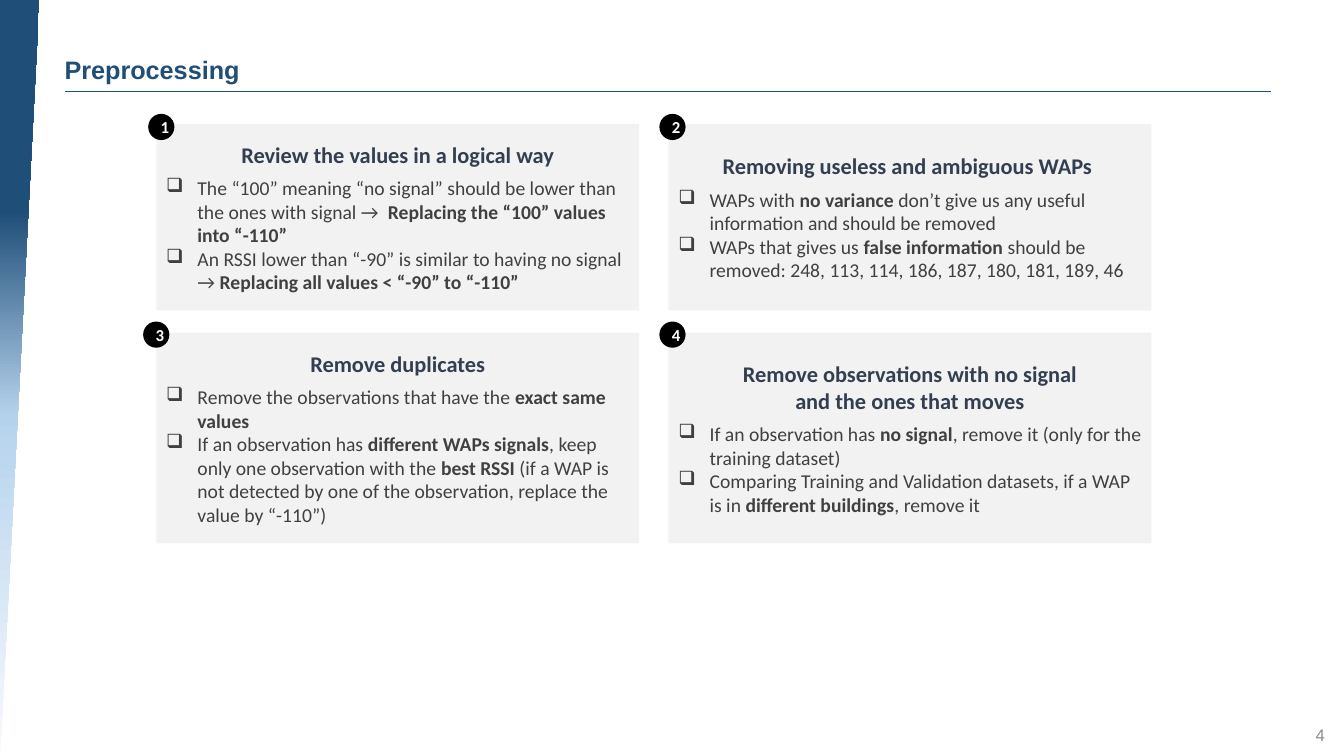
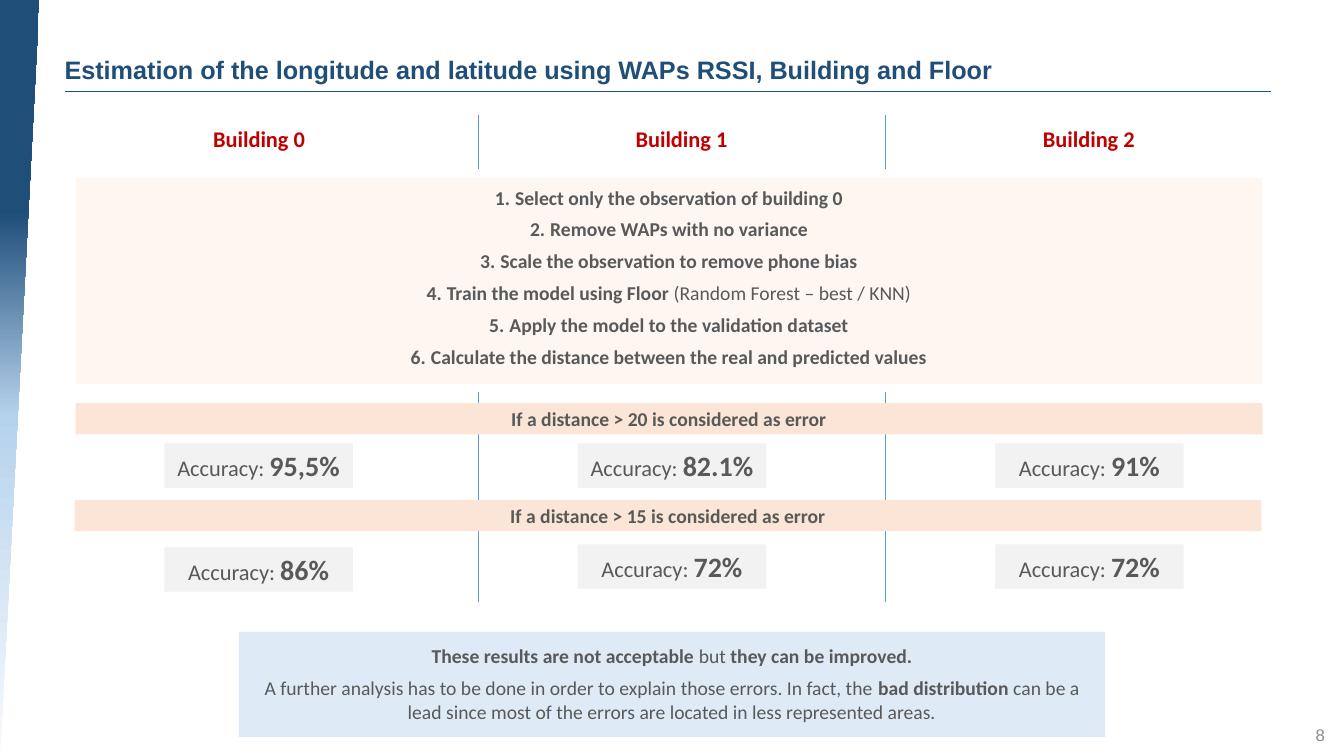
import dataclasses

import pptx
import pptx.dml.color
import pptx.enum.shapes
import pptx.enum.text
import pptx.oxml
import pptx.oxml.ns
import pptx.util

Inches = pptx.util.Inches
Pt = pptx.util.Pt
SHAPE = pptx.enum.shapes.MSO_SHAPE
ALIGN = pptx.enum.text.PP_ALIGN
ANCHOR = pptx.enum.text.MSO_ANCHOR
AUTO_SIZE = pptx.enum.text.MSO_AUTO_SIZE


@dataclasses.dataclass(frozen=True)
class Theme:
    # Fonts
    head_font: str = "Arial"
    body_font: str = "Calibri"
    # Type sizes
    title: int = 18
    heading: int = 16
    body: int = 14
    small: int = 12
    figure: int = 20
    # Colours
    navy: str = "1F4E79"
    sky: str = "B5D2EC"
    mist: str = "F7FAFD"
    line: str = "5B9BD5"
    slate: str = "333F50"
    dark: str = "404040"
    text: str = "595959"
    number: str = "8C8C8C"
    red: str = "C00000"
    card: str = "F2F2F2"
    cream: str = "FEF6F0"
    peach: str = "FBE5D6"
    note: str = "DEEBF7"
    white: str = "FFFFFF"
    black: str = "000000"


T = Theme()
BOX = '<a:buChar %s char="❑"/>' % pptx.oxml.ns.nsdecls("a")
NUMBER = '<a:buAutoNum %s type="arabicPeriod"/>' % pptx.oxml.ns.nsdecls("a")


def rgb(value):
    return pptx.dml.color.RGBColor.from_string(value)


# Text
def add_text(tf, text, size=T.body, color=T.text, font=T.body_font, bold=False,
             align=ALIGN.LEFT, after=0, spacing=None, bullet=None, indent=0,
             bold_size=None):
    """Add a paragraph; parts between ** marks are bold."""
    p = tf.paragraphs[0]
    if p.runs:
        p = tf.add_paragraph()
    p.alignment = align
    p.space_after = Pt(after)
    if spacing:
        p.line_spacing = spacing
    if bullet:
        pPr = p._p.get_or_add_pPr()
        pPr.set("marL", str(Inches(indent)))
        pPr.set("indent", str(-Inches(indent)))
        pPr.append(pptx.oxml.parse_xml(bullet))
    for i, part in enumerate(text.split("**")):
        if not part:
            continue
        strong = bold or i % 2 == 1
        r = p.add_run()
        r.text = part
        r.font.name = font
        r.font.size = Pt(bold_size if strong and bold_size else size)
        r.font.bold = strong
        r.font.color.rgb = rgb(color)


def set_frame(tf, anchor, insets=(0.1, 0.05, 0.1, 0.05), auto_size=AUTO_SIZE.NONE):
    tf.word_wrap = True
    tf.auto_size = auto_size
    tf.vertical_anchor = anchor
    (tf.margin_left, tf.margin_top,
     tf.margin_right, tf.margin_bottom) = map(Inches, insets)
    return tf


# Shapes
def add_box(s, x, y, w, h, fill=None, kind=SHAPE.RECTANGLE, line=None, width=0):
    sp = s.shapes.add_shape(kind, Inches(x), Inches(y), Inches(w), Inches(h))
    sp.shadow.inherit = False
    if fill:
        sp.fill.solid()
        sp.fill.fore_color.rgb = rgb(fill)
    if line:
        sp.line.color.rgb = rgb(line)
        sp.line.width = Pt(width)
    else:
        sp.line.fill.background()
    return sp


def add_label(s, x, y, w, h, text, **fmt):
    sp = s.shapes.add_textbox(Inches(x), Inches(y), Inches(w), Inches(h))
    add_text(set_frame(sp.text_frame, ANCHOR.MIDDLE), text, **fmt)


def add_line(s, x1, y1, x2, y2, color, width):
    cx = s.shapes.add_connector(pptx.enum.shapes.MSO_CONNECTOR.STRAIGHT,
                                Inches(x1), Inches(y1), Inches(x2), Inches(y2))
    cx.line.color.rgb = rgb(color)
    cx.line.width = Pt(width)
    spPr = cx._element.spPr
    spPr.append(pptx.oxml.parse_xml("<a:effectLst %s/>" % pptx.oxml.ns.nsdecls("a")))


def add_side_wedge(s):
    sp = add_box(s, 0, 0, 0.39, 7.5, kind=SHAPE.RIGHT_TRIANGLE)
    sp.rotation = 180
    spPr = sp._element.spPr
    spPr.xfrm.set("flipH", "1")
    stops = "".join('<a:gs pos="%d"><a:srgbClr val="%s"/></a:gs>' % (pos * 1000, color)
                    for pos, color in ((0, T.mist), (45, T.sky), (72, T.navy)))
    spPr.prstGeom.addnext(pptx.oxml.parse_xml(
        '<a:gradFill %s rotWithShape="1"><a:gsLst>%s</a:gsLst>'
        '<a:lin ang="5400000" scaled="0"/></a:gradFill>'
        % (pptx.oxml.ns.nsdecls("a"), stops)))


# Shared frame: title, rule, page number and side wedge
def new_slide(prs, title, number):
    s = prs.slides.add_slide(prs.slide_layouts[5])
    add_line(s, 0.64, 0.91, 12.61, 0.91, T.navy, 1)
    sp = s.shapes.title
    sp.left, sp.top, sp.width, sp.height = map(Inches, (0.64, 0.11, 11.97, 0.78))
    tf = set_frame(sp.text_frame, ANCHOR.BOTTOM, (0, 0.05, 0, 0.05))
    add_text(tf, title, size=T.title, color=T.navy, font=T.head_font, bold=True,
             spacing=0.9)
    add_label(s, 12.56, 7.09, 0.68, 0.4, str(number), size=T.small,
              color=T.number, font=T.head_font, align=ALIGN.RIGHT)
    add_side_wedge(s)
    return s


# Preprocessing elements
def add_card(s, x, y, h, headings, bullets):
    sp = add_box(s, x, y, 4.79, h, T.card)
    tf = set_frame(sp.text_frame, ANCHOR.MIDDLE, (0.1, 0, 0.1, 0))
    for heading in headings:
        add_text(tf, heading, size=T.heading, color=T.slate, bold=True,
                 align=ALIGN.CENTER, after=6 if heading == headings[-1] else 0)
    for bullet in bullets:
        add_text(tf, bullet, color=T.dark, bullet=BOX, indent=0.31)


def add_badge(s, x, y, number):
    sp = add_box(s, x, y, 0.26, 0.26, T.black, SHAPE.OVAL)
    add_text(set_frame(sp.text_frame, ANCHOR.MIDDLE), str(number), size=T.small,
             color=T.white, bold=True, align=ALIGN.CENTER)


# Estimation elements
def add_panel(s, x, y, w, h, fill, lines, line=None, width=0, **fmt):
    sp = add_box(s, x, y, w, h, fill, line=line, width=width)
    tf = set_frame(sp.text_frame, ANCHOR.TOP, (0.1, 0.12, 0.1, 0.04))
    for text in lines:
        add_text(tf, text, align=ALIGN.CENTER, after=6, **fmt)


def add_accuracy(s, x, y, value):
    sp = add_box(s, x, y, 1.87, 0.44, T.card)
    tf = set_frame(sp.text_frame, ANCHOR.TOP, auto_size=AUTO_SIZE.SHAPE_TO_FIT_TEXT)
    add_text(tf, f"Accuracy: **{value}**", size=T.heading, bold_size=T.figure,
             align=ALIGN.CENTER)


def add_band(s, x, y, limit):
    sp = add_box(s, x, y, 11.77, 0.31, T.peach)
    tf = set_frame(sp.text_frame, ANCHOR.MIDDLE, (0.1, 0, 0.1, 0))
    add_text(tf, f"If a distance > {limit} is considered as error", bold=True,
             align=ALIGN.CENTER, after=6)


def build_preprocessing(prs):
    s = new_slide(prs, "Preprocessing", 4)
    cards = [
        (["Review the values in a logical way"],
         ["The “100” meaning “no signal” should be lower than the ones with signal →  "
          "**Replacing the “100” values into “-110”**",
          "An RSSI lower than “-90” is similar to having no signal → "
          "**Replacing all values < “-90” to “-110”**"]),
        (["Removing useless and ambiguous WAPs "],
         ["WAPs with **no variance **don’t give us any useful information and "
          "should be removed",
          "WAPs that gives us **false information **should be removed: "
          "248, 113, 114, 186, 187, 180, 181, 189, 46"]),
        (["Remove duplicates"],
         ["Remove the observations that have the **exact same values**",
          "If an observation has **different WAPs signals**, keep only one "
          "observation with the **best RSSI **(if a WAP is not detected by one of "
          "the observation, replace the value by “-110”)"]),
        (["Remove observations with no signal", "and the ones that moves"],
         ["If an observation has **no signal**, remove it (only for the training "
          "dataset)",
          "Comparing Training and Validation datasets, if a WAP is in "
          "**different buildings**, remove it"]),
    ]
    rows = [(1.23, 1.85), (3.3, 2.09)]
    for i, (headings, bullets) in enumerate(cards):
        y, h = rows[i // 2]
        add_card(s, 1.55 + 5.08 * (i % 2), y, h, headings, bullets)
    badges = [(1.47, 1.13), (6.54, 1.13), (1.42, 3.19), (6.54, 3.19)]
    for number, (x, y) in enumerate(badges, 1):
        add_badge(s, x, y, number)


def build_estimation(prs):
    s = new_slide(prs, "Estimation of the longitude and latitude using WAPs RSSI, "
                       "Building and Floor", 8)
    # Column dividers and headings
    for x in (4.74, 8.78):
        add_line(s, x, 1.14, x, 5.97, T.line, 0.5)
    for i, x in enumerate((1.89, 6.08, 10.12)):
        add_label(s, x, 1.13, 1.36, 0.49, f"Building {i}", size=T.heading,
                  color=T.red, bold=True, align=ALIGN.CENTER)
    # Method steps
    add_panel(s, 0.71, 1.72, 11.85, 2.13, T.cream, [
        "**Select only the observation of building 0**",
        "**Remove WAPs with no variance**",
        "**Scale the observation to remove phone bias**",
        "**Train the model using Floor **(Random Forest – best / KNN)",
        "**Apply the model to the validation dataset**",
        "**Calculate the distance between the real and predicted values**",
    ], line=T.white, width=6, bullet=NUMBER, indent=0.2)
    # Accuracy by building: box left, then (top, value) for each error limit
    results = [
        (1.63, (4.4, "95,5%"), (5.43, "86%")),
        (5.73, (4.4, "82.1%"), (5.4, "72%")),
        (9.87, (4.4, "91%"), (5.4, "72%")),
    ]
    for x, *scores in results:
        for y, value in scores:
            add_accuracy(s, x, y, value)
    add_band(s, 0.75, 4, 20)
    add_band(s, 0.74, 4.96, 15)
    # Conclusion
    add_panel(s, 2.37, 6.27, 8.59, 1.04, T.note, [
        "**These results are not acceptable **but** they can be improved.**",
        "A further analysis has to be done in order to explain those errors. In fact, "
        "the **bad distribution **can be a lead since most of the errors are located "
        "in less represented areas.",
    ])


def main():
    prs = pptx.Presentation()
    prs.slide_width, prs.slide_height = Inches(13.33), Inches(7.5)
    build_preprocessing(prs)
    build_estimation(prs)
    prs.save("out.pptx")


if __name__ == "__main__":
    main()
